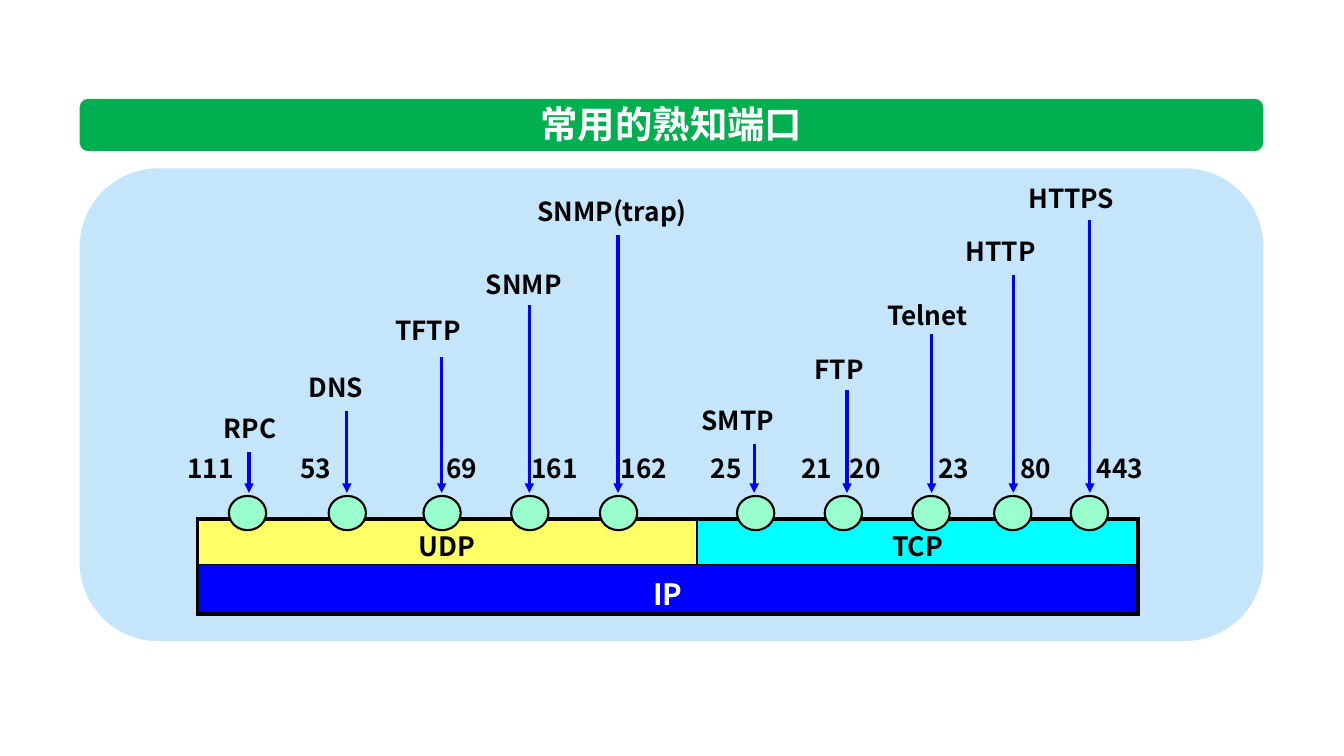
import lxml.etree
import pptx
import pptx.dml.color
import pptx.enum.shapes
import pptx.enum.text
import pptx.oxml
import pptx.oxml.ns
import pptx.util

Inches = pptx.util.Inches
Pt = pptx.util.Pt
Shape = pptx.enum.shapes.MSO_SHAPE
Align = pptx.enum.text.PP_ALIGN
Anchor = pptx.enum.text.MSO_ANCHOR
qn = pptx.oxml.ns.qn

FONT = "Noto Sans CJK SC"
LABEL_H = 0.42
PORT_Y = 4.48
DOT_Y, DOT_W, DOT_H = 4.92, 0.37, 0.34
TIP_Y = 4.89

# name, label left, top and width, arrow x and top, dot left,
# then each port with its left and width
SERVICES = [
    ("RPC", 2.12, 4.08, 1.18, 2.47, 4.48, 2.27, [("111", 1.76, 0.88)]),
    ("DNS", 2.96, 3.67, 1.42, 3.44, 4.08, 3.26, [("53", 2.88, 1.21)]),
    ("TFTP", 3.82, 3.11, 1.77, 4.38, 3.54, 4.2, [("69", 4.33, 0.99)]),
    ("SNMP", 4.72, 2.65, 1.65, 5.25, 3.03, 5.07, [("161", 5.17, 0.88)]),
    ("SNMP(trap)", 5.23, 1.93, 2.33, 6.13, 2.33, 5.95,
     [("162", 6.06, 0.88)]),
    ("SMTP", 6.86, 4, 1.53, 7.48, 4.4, 7.31, [("25", 6.95, 0.99)]),
    ("FTP", 7.98, 3.5, 1.42, 8.4, 3.87, 8.18,
     [("21", 7.85, 0.6), ("20", 8.33, 0.75)]),
    ("Telnet", 8.7, 2.96, 1.65, 9.24, 3.31, 9.05, [("23", 9.21, 0.99)]),
    ("HTTP", 9.48, 2.32, 1.65, 10.05, 2.73, 9.86, [("80", 10.02, 0.99)]),
    ("HTTPS", 10.1, 1.8, 1.65, 10.81, 2.18, 10.62, [("443", 10.78, 0.99)]),
]


def color(code):
    return pptx.dml.color.RGBColor.from_string(code)


def write(frame, text, size=18.7, font=FONT, ink="000000", align=Align.LEFT):
    para = frame.paragraphs[0]
    para.alignment = align
    run = para.add_run()
    run.text = text
    run.font.size = Pt(size)
    run.font.name = font
    run.font.bold = True
    run.font.color.rgb = color(ink)


def add_text(slide, text, x, y, w, h=LABEL_H, top=0.01, wrap=True,
             anchor=Anchor.TOP, **style):
    box = slide.shapes.add_textbox(Inches(x), Inches(y), Inches(w), Inches(h))
    frame = box.text_frame
    frame.word_wrap = wrap
    frame.vertical_anchor = anchor
    frame.margin_top = Inches(top)
    write(frame, text, **style)


def add_box(slide, kind, x, y, w, h, fill, line=None):
    box = slide.shapes.add_shape(kind, Inches(x), Inches(y),
                                 Inches(w), Inches(h))
    box.shadow.inherit = False
    box.fill.solid()
    box.fill.fore_color.rgb = color(fill)
    if line:
        box.line.color.rgb = color(line)
        box.line.width = Pt(1.5)
    else:
        box.line.fill.background()


def add_arrow(slide, x, top):
    arrow = slide.shapes.add_connector(
        pptx.enum.shapes.MSO_CONNECTOR.STRAIGHT,
        Inches(x), Inches(top), Inches(x), Inches(TIP_Y))
    arrow.line.color.rgb = color("0000FF")
    arrow.line.width = Pt(2.25)
    line = arrow.line._get_or_add_ln()
    lxml.etree.SubElement(line, qn("a:tailEnd"), type="triangle")
    lxml.etree.SubElement(arrow._element.spPr, qn("a:effectLst"))


def set_edges(cell, left, right, top, bottom):
    props = cell._tc.get_or_add_tcPr()
    sides = zip(("lnL", "lnR", "lnT", "lnB"), (left, right, top, bottom))
    for spot, (tag, width) in enumerate(sides):
        edge = pptx.oxml.parse_xml(
            f'<a:{tag} {pptx.oxml.ns.nsdecls("a")} w="{int(Pt(width))}">'
            '<a:solidFill><a:srgbClr val="000000"/></a:solidFill>'
            f'</a:{tag}>')
        props.insert(spot, edge)


def fill_cell(cell, text, fill, edges, **style):
    cell.fill.solid()
    cell.fill.fore_color.rgb = color(fill)
    cell.margin_left = cell.margin_right = Inches(0.14)
    cell.margin_top = Inches(0.07)
    cell.margin_bottom = 0
    write(cell.text_frame, text, align=Align.CENTER, **style)
    set_edges(cell, *edges)


def add_stack(slide):
    table = slide.shapes.add_table(2, 2, Inches(1.96), Inches(5.15),
                                   Inches(9.33), Inches(0.94)).table
    table.first_row = table.horz_banding = False
    for col, width in zip(table.columns, (4.95, 4.38)):
        col.width = Inches(width)
    for row, height in zip(table.rows, (0.45, 0.49)):
        row.height = Inches(height)
    table.cell(1, 0).merge(table.cell(1, 1))
    fill_cell(table.cell(0, 0), "UDP", "FFFF66", (3, 1.5, 3, 1.5), size=19)
    fill_cell(table.cell(0, 1), "TCP", "00FFFF", (1.5, 3, 3, 1.5), size=19)
    fill_cell(table.cell(1, 0), "IP", "0000FF", (3, 3, 1.5, 3),
              size=21, ink="FFFFFF")
    set_edges(table.cell(1, 1), 3, 3, 1.5, 3)


def main():
    deck = pptx.Presentation()
    deck.slide_width = Inches(13.33)
    deck.slide_height = Inches(7.5)
    slide = deck.slides.add_slide(deck.slide_layouts[6])

    # Title bar and panel
    add_box(slide, Shape.ROUNDED_RECTANGLE, 0.79, 0.98, 11.74, 0.52, "00B050")
    add_text(slide, "常用的熟知端口", 5.25, 0.95, 2.82, 0.55, top=0.05,
             wrap=False, anchor=Anchor.MIDDLE, size=26.7, font="Calibri",
             ink="FFFFFF", align=Align.CENTER)
    add_box(slide, Shape.ROUNDED_RECTANGLE, 0.79, 1.67, 11.74, 4.69, "C5E5FB")

    # Protocol layers
    add_stack(slide)

    # Services with their ports
    for name, x, y, w, line_x, top, dot_x, ports in SERVICES:
        add_text(slide, name, x, y, w)
        add_box(slide, Shape.OVAL, dot_x, DOT_Y, DOT_W, DOT_H,
                "99FFCC", line="000000")
        add_arrow(slide, line_x, top)
        for port, left, width in ports:
            add_text(slide, port, left, PORT_Y, width)

    deck.save("out.pptx")


if __name__ == "__main__":
    main()
